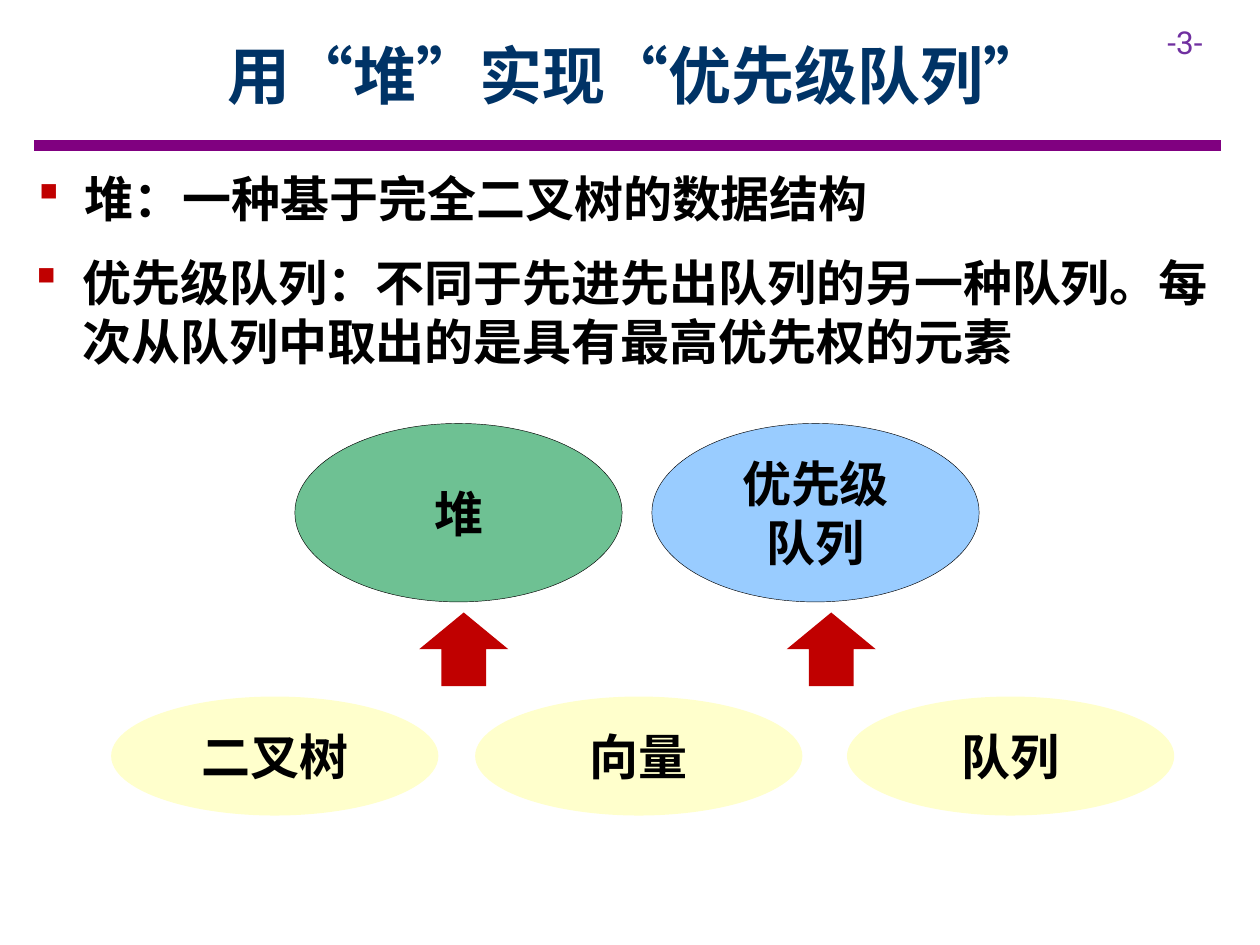
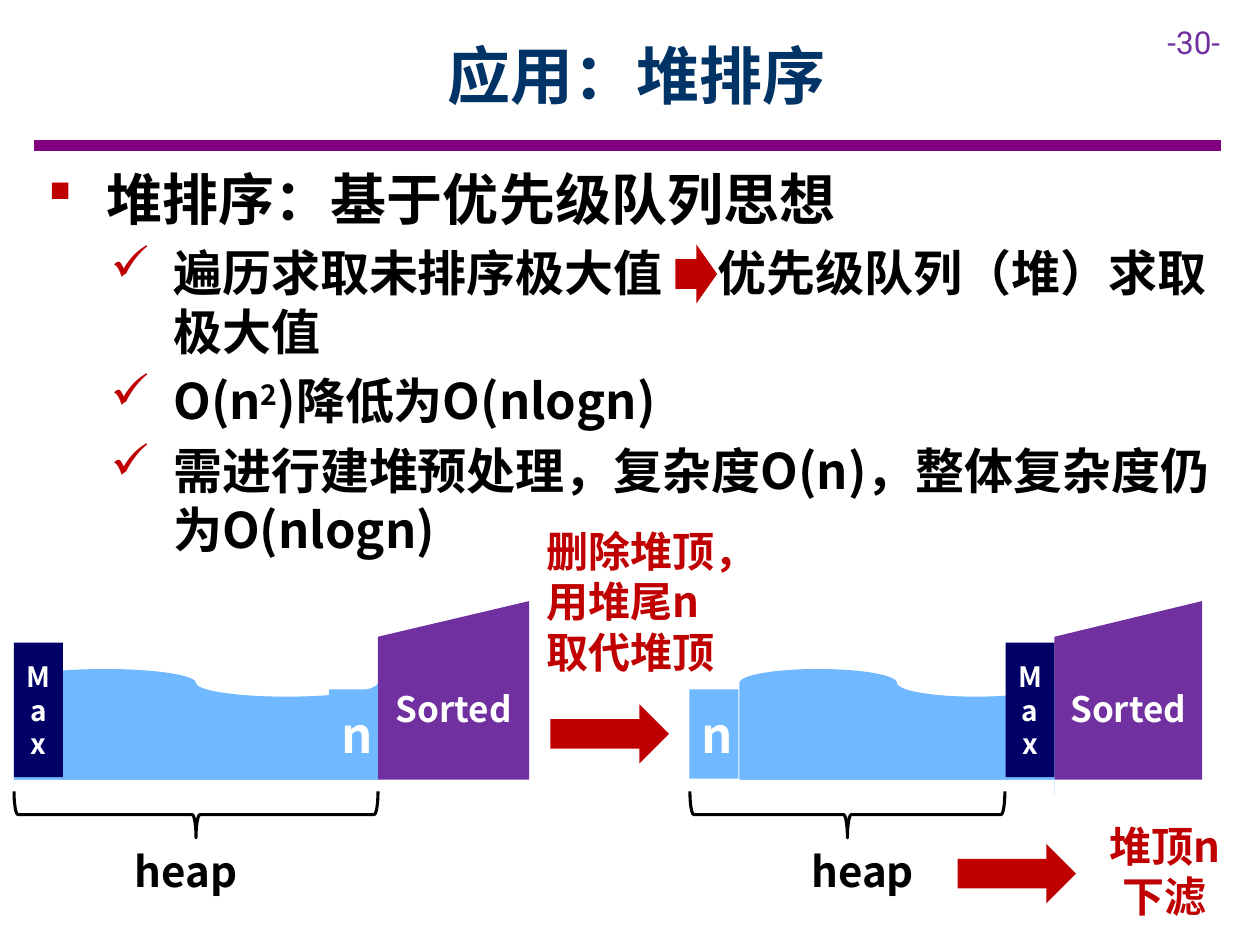
from dataclasses import dataclass

from lxml.etree import SubElement
from pptx import Presentation
from pptx.dml.color import RGBColor
from pptx.enum.lang import MSO_LANGUAGE_ID as LANG
from pptx.enum.shapes import MSO_CONNECTOR, MSO_SHAPE as SHAPE
from pptx.enum.text import MSO_ANCHOR as ANCHOR, PP_ALIGN as ALIGN
from pptx.oxml.ns import qn
from pptx.util import Pt


@dataclass(frozen=True)
class Theme:
    font: str = "Noto Sans CJK SC"
    number_font: str = "Roboto"
    bullet_font: str = "Wingdings"
    black: str = "000000"
    white: str = "FFFFFF"
    navy: str = "003366"
    rule: str = "800080"
    purple: str = "7030A0"
    red: str = "C00000"
    cream: str = "FFFFCC"
    sky: str = "99CCFF"
    green: str = "009242"
    water: str = "70B8FF"
    max_blue: str = "000066"
    title: int = 36
    lead: int = 32
    body: int = 28
    note: int = 24
    sorted: int = 20
    number: int = 18
    max: int = 16


T = Theme()


def add_shape(shapes, kind, box, fill=None, line=None, width=0.25, rotation=0):
    sp = shapes.add_shape(kind, *map(Pt, box))
    sp.shadow.inherit = False
    sp.rotation = rotation
    if fill:
        sp.fill.solid()
        sp.fill.fore_color.rgb = RGBColor.from_string(fill)
    else:
        sp.fill.background()
    if line:
        sp.line.color.rgb = RGBColor.from_string(line)
        sp.line.width = Pt(width)
    else:
        sp.line.fill.background()
    return sp


def write(sp, paragraphs, size, color=T.black, align=ALIGN.LEFT, font=T.font, bold=True, **frame):
    """Fill sp with paragraphs, each a tuple of run texts; frame holds text frame settings."""
    tf = sp.text_frame
    for name, value in {"word_wrap": True, **frame}.items():
        setattr(tf, name, value)
    for i, texts in enumerate(paragraphs):
        p = tf.paragraphs[0] if i == 0 else tf.add_paragraph()
        p.alignment = align
        for text in texts:
            r = p.add_run()
            r.text = text
            style = {"name": font, "size": Pt(size), "bold": bold,
                     "language_id": LANG.SIMPLIFIED_CHINESE}
            for name, value in style.items():
                setattr(r.font, name, value)
            r.font.color.rgb = RGBColor.from_string(color)
            SubElement(r.font._element, qn("a:ea"), typeface=font)
    return tf.paragraphs


INSIDE = {"align": ALIGN.CENTER, "vertical_anchor": ANCHOR.MIDDLE,
          **{f"margin_{side}": Pt(7.2) for side in ("left", "top", "right", "bottom")}}

prs = Presentation()
prs.slide_width, prs.slide_height = Pt(720), Pt(540)

# Frame shared by both slides
slides = []
for title, number in (("用“堆”实现“优先级队列”", "-3-"), ("应用：堆排序", "-30-")):
    s = prs.slides.add_slide(prs.slide_layouts[6])
    rule = s.shapes.add_connector(MSO_CONNECTOR.STRAIGHT, Pt(19.5), Pt(83), Pt(698), Pt(83))
    rule.line.color.rgb = RGBColor.from_string(T.rule)
    rule.line.width = Pt(6)
    SubElement(rule.element.spPr, qn("a:effectLst"))
    sp = s.shapes.add_textbox(Pt(660), Pt(9.5), Pt(60), Pt(29))
    write(sp, [(number,)], T.number, T.purple, font=T.number_font, bold=False)
    sp = s.shapes.add_textbox(Pt(65), Pt(6.5), Pt(598), Pt(72))
    write(sp, [(title,)], T.title, T.navy, ALIGN.CENTER, vertical_anchor=ANCHOR.MIDDLE)
    slides.append(s)
concept, sorting = (s.shapes for s in slides)

# Slide 1: definitions, then what each structure is built on
bulleted = []
for box, text in (
    ((14.4, 92.9, 578, 41), "堆：一种基于完全二叉树的数据结构"),
    ((13, 141, 698.4, 75), "优先级队列：不同于先进先出队列的另一种队列。"
                           "每次从队列中取出的是具有最高优先权的元素"),
):
    sp = concept.add_textbox(*map(Pt, box))
    bulleted += [(p, 27, 27, "§") for p in write(sp, [(text,)], T.body)]

for x, fill, lines in ((168.5, T.green, ("堆",)), (372.5, T.sky, ("优先级", "队列"))):
    sp = add_shape(concept, SHAPE.OVAL, (x, 242, 187, 102), fill, T.black)
    write(sp, [(line,) for line in lines], T.body, **INSIDE)
    if fill == T.green:
        SubElement(sp.element.spPr.find(".//" + qn("a:srgbClr")), qn("a:alpha"), val="57000")

for x, text in ((63.5, "二叉树"), (271.5, "向量"), (484, "队列")):
    sp = add_shape(concept, SHAPE.OVAL, (x, 398, 187, 68), T.cream)
    write(sp, [(text,)], T.body, **INSIDE)

for x in (244, 454):
    add_shape(concept, SHAPE.RIGHT_ARROW, (x, 345.5, 42, 51), T.red, rotation=270)

# Slide 2: the idea of heap sort
sp = sorting.add_textbox(Pt(20), Pt(90.7), Pt(692), Pt(234))
lead, *points = write(sp, [
    ("堆排序：基于优先级队列思想",),
    ("遍历求取未排序极大值", " ", "优先级队列（堆）求取极大值"),
    ("O(n", "2", ")降低为O(nlogn)"),
    ("需进行建堆预处理，复杂度O(n)，整体复杂度仍为O(nlogn)",),
], T.body)
lead.runs[0].font.size = Pt(T.lead)
points[0].runs[1].font._element.set("spc", "2500")  # room for the arrow
points[1].runs[1].font._element.set("baseline", "30000")
bulleted += [(lead, 34, 34, "§")] + [(p, 72, 36, "ü") for p in points]

for p, margin, hang, char in bulleted:
    p.space_after = Pt(6)
    pPr = p._p.get_or_add_pPr()
    pPr.set("marL", str(Pt(margin)))
    pPr.set("indent", str(-Pt(hang)))
    SubElement(SubElement(pPr, qn("a:buClr")), qn("a:srgbClr"), val=T.red)
    SubElement(pPr, qn("a:buFont"), typeface=T.bullet_font, charset="2")
    SubElement(pPr, qn("a:buChar"), char=char)

# Slide 2: the array before and after the heap top is swapped out
WIDTH = 208
for left, tape_x, tape_w, n_x, max_x, brace_x, brace_w, sorted_w in (
    (8, 8, WIDTH, 188, 8, 8, WIDTH, 86.4),
    (394.6, 422.6, 180, 394, 574.6, 394.2, 180, 84.3),
):
    array = sorting.add_group_shape().shapes
    sp = add_shape(array, SHAPE.FLOWCHART_MANUAL_INPUT,
                   (left + WIDTH, 343.5, sorted_w, 102), T.purple)
    write(sp, [("Sorted",)], T.sorted, T.white, **INSIDE)
    tape = add_shape(array, SHAPE.FLOWCHART_PUNCHED_TAPE, (tape_x, 382.3, tape_w, 79.2), T.water)
    tape.element.spPr.find(qn("a:xfrm")).set("flipH", "1")
    add_shape(array, SHAPE.RECTANGLE, (left, 445.7, WIDTH, 29.5), T.white)
    for text, box, fill, size in (
        ("n", (n_x, 394, 28, 51), T.water, T.body),
        ("Max", (max_x, 367.2, 28, 77), T.max_blue, T.max),
    ):
        sp = add_shape(array, SHAPE.RECTANGLE, box, fill)
        write(sp, [(text,)], size, T.white, **INSIDE)
    depth = 26.6
    add_shape(array, SHAPE.RIGHT_BRACE,
              (brace_x + (brace_w - depth) / 2, 465.5 - brace_w / 2, depth, brace_w),
              line=T.black, width=1.75, rotation=90)
    sp = array.add_textbox(Pt(left + 62), Pt(479.5), Pt(74), Pt(36))
    write(sp, [("heap",)], T.note, word_wrap=False)

for box in ((386, 139.7, 23.8, 33.8), (314.6, 402.5, 67.7, 33.8), (547.2, 482.4, 67.7, 33.8)):
    add_shape(sorting, SHAPE.RIGHT_ARROW, box, T.red)

for text, box, align in (
    ("删除堆顶，用堆尾n取代堆顶", (305.3, 296.6, 121.7, 94.3), ALIGN.LEFT),
    ("堆顶n下滤", (619.2, 465.1, 92.9, 65.5), ALIGN.CENTER),
):
    write(sorting.add_textbox(*map(Pt, box)), [(text,)], T.note, T.red, align)

prs.save("out.pptx")
